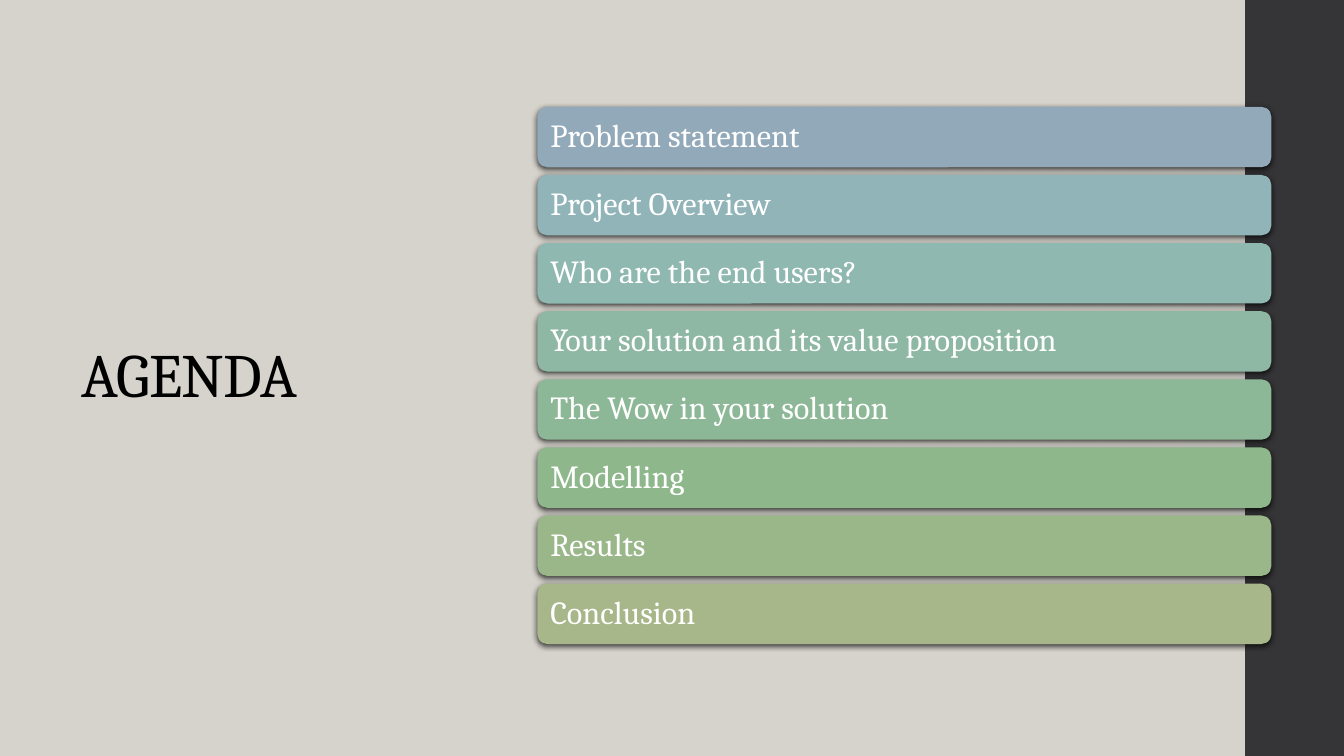
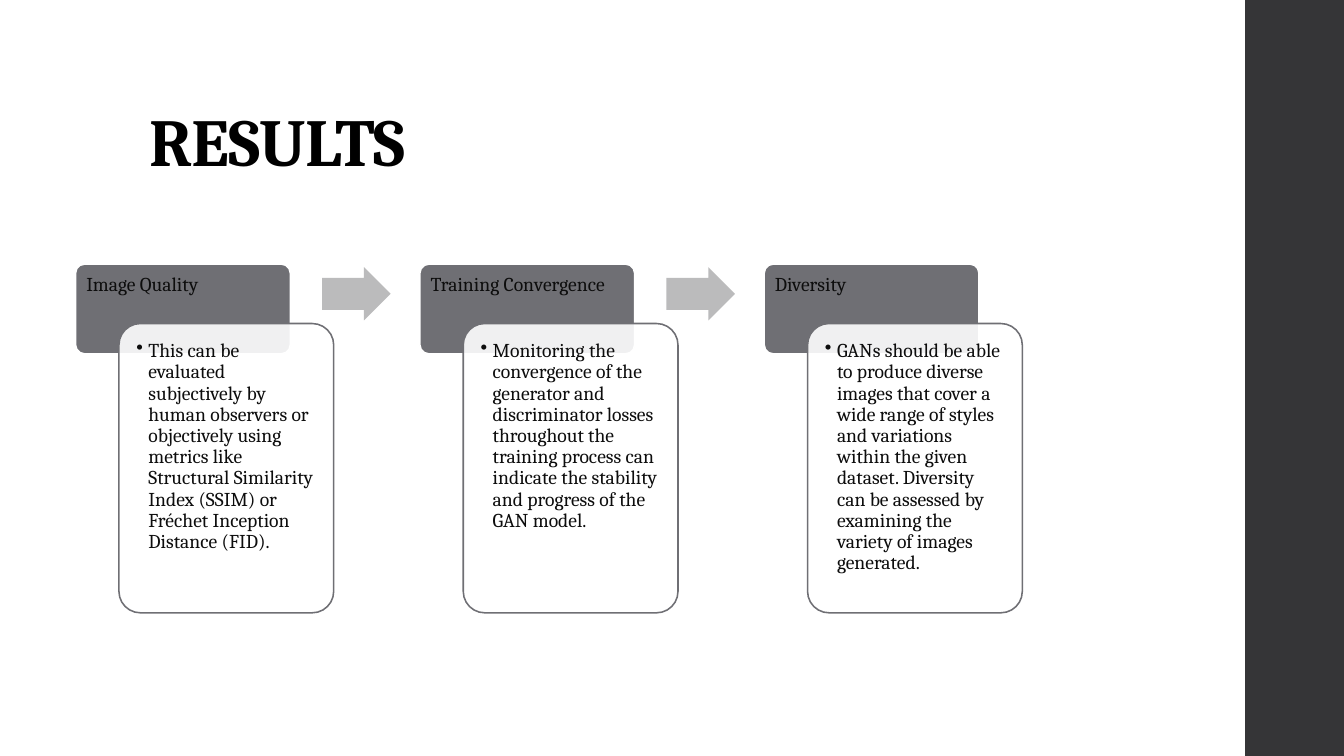
"""Build the agenda and results slides with a shared dark side band."""
from pptx import Presentation
from pptx.dml.color import RGBColor
from pptx.enum.shapes import MSO_SHAPE
from pptx.enum.text import MSO_ANCHOR, MSO_AUTO_SIZE, PP_ALIGN
from pptx.oxml.ns import qn
from pptx.oxml.xmlchemy import OxmlElement
from pptx.util import Inches, Pt

COLORS = {
    "band": "353537",
    "stone": "D6D3CC",
    "white": "FFFFFF",
    "black": "000000",
    "ink": "0D0D0D",
    "heading": "6F6F74",
    "arrow": "BBBBBC",
}
AGENDA = {
    "Problem statement": "92A9B9",
    "Project Overview": "91B4B9",
    "Who are the end users?": "8FB8B1",
    "Your solution and its value proposition": "8EB8A4",
    "The Wow in your solution": "8DB897",
    "Modelling": "8EB88C",
    "Results": "9AB78A",
    "Conclusion": "A7B789",
}
RESULTS = {
    "Image Quality": "This can be evaluated subjectively by human observers or "
    "objectively using metrics like Structural Similarity Index (SSIM) or "
    "Fréchet Inception Distance (FID).",
    "Training Convergence": "Monitoring the convergence of the generator and "
    "discriminator losses throughout the training process can indicate the "
    "stability and progress of the GAN model.",
    "Diversity": "GANs should be able to produce diverse images that cover a wide "
    "range of styles and variations within the given dataset. Diversity can be "
    "assessed by examining the variety of images generated.",
}


def apply(target, values):
    """Set each named attribute of the target."""
    for name, value in values.items():
        setattr(target, name, value)


def add_xml(parent, tag, **attributes):
    """Append an XML child and return it."""
    child = OxmlElement(tag)
    for name, value in attributes.items():
        child.set(name, str(value))
    parent.append(child)
    return child


class Deck:
    """Hold the presentation style and the current slide."""

    font = "Cambria"
    line_spacing = 0.9

    def __init__(self):
        """Open an empty wide presentation."""
        self.presentation = Presentation()
        apply(self.presentation,
              {"slide_width": Inches(13.33), "slide_height": Inches(7.5)})
        self.slide = None

    def color(self, name):
        """Look up a named colour, or take a hex string as it is."""
        return RGBColor.from_string(COLORS.get(name, name))

    def start(self, background, title, box, size, anchor, bold=False):
        """Add a slide with its background, side band and title."""
        layout = self.presentation.slide_layouts[5]
        self.slide = self.presentation.slides.add_slide(layout)
        fill = self.slide.background.fill
        fill.solid()
        fill.fore_color.rgb = self.color(background)
        self.shape(MSO_SHAPE.RECTANGLE, (12.35, 0, 0.98, 7.5), "band")
        heading = self.slide.shapes.title
        apply(heading, dict(zip(("left", "top", "width", "height"), map(Inches, box))))
        run = self.label(heading, title, size, "black", anchor, bold=bold)
        run._r.get_or_add_rPr().set("spc", "-50")

    def shape(self, kind, box, fill, line=None, corner=None):
        """Add a flat filled shape with an optional outline."""
        shape = self.slide.shapes.add_shape(kind, *map(Inches, box))
        shape.fill.solid()
        shape.fill.fore_color.rgb = self.color(fill)
        if line:
            shape.line.color.rgb = self.color(line)
            shape.line.width = Pt(1.1)
        else:
            shape.line.fill.background()
        if corner is not None:
            shape.adjustments[0] = corner
        shape.shadow.inherit = False
        return shape

    def label(self, shape, text, size, color, anchor, inset=None, bold=False, bullet=False):
        """Put one left-aligned paragraph into a shape."""
        frame = shape.text_frame
        apply(frame, {"word_wrap": True, "auto_size": MSO_AUTO_SIZE.NONE,
                      "vertical_anchor": anchor})
        if inset is not None:
            sides = ("margin_left", "margin_top", "margin_right", "margin_bottom")
            apply(frame, dict.fromkeys(sides, Inches(inset)))
        paragraph = frame.paragraphs[0]
        apply(paragraph, {"alignment": PP_ALIGN.LEFT, "line_spacing": self.line_spacing})
        if bullet:
            properties = paragraph._p.get_or_add_pPr()
            properties.set("marL", str(Inches(0.12)))
            properties.set("indent", str(-Inches(0.12)))
            add_xml(properties, "a:buChar", char="•")
        run = paragraph.add_run()
        run.text = text
        apply(run.font, {"name": self.font, "size": Pt(size), "bold": bold})
        run.font.color.rgb = self.color(color)
        return run

    def agenda_bar(self, text, fill, top):
        """Add a shadowed agenda bar."""
        bar = self.shape(MSO_SHAPE.ROUNDED_RECTANGLE, (5.33, top, 7.28, 0.6), fill)
        effects = bar._element.spPr.find(qn("a:effectLst"))
        shadow = add_xml(effects, "a:outerShdw", blurRad=Pt(4), dist=Pt(1.2),
                         dir=5400000, algn="ctr", rotWithShape=0)
        tint = add_xml(shadow, "a:srgbClr", val=COLORS["black"])
        add_xml(tint, "a:alpha", val=75000)
        self.label(bar, text, 23, "white", MSO_ANCHOR.MIDDLE, 0.1)

    def result_card(self, heading, detail, left):
        """Add a result heading with its overlapping detail card."""
        rounded = MSO_SHAPE.ROUNDED_RECTANGLE
        header = self.shape(rounded, (left, 2.62, 2.13, 0.89), "heading", "white", 0.1)
        self.label(header, heading, 14, "ink", MSO_ANCHOR.TOP, 0.08)
        card = self.shape(rounded, (left + 0.43, 3.21, 2.13, 2.87), "white", "heading", 0.1)
        tint = card._element.spPr.find(qn("a:solidFill"))[0]
        add_xml(tint, "a:alpha", val=90000)
        self.label(card, detail, 14, "ink", MSO_ANCHOR.TOP, 0.11, bullet=True)

    def arrow(self, left):
        """Add a block arrow leading to the next result."""
        arrow = self.shape(MSO_SHAPE.RIGHT_ARROW, (left, 2.65, 0.68, 0.53), "arrow", corner=0.6)
        arrow.adjustments[1] = 0.5


def main():
    """Build both slides and save them."""
    deck = Deck()
    deck.start("stone", "AGENDA", (0.71, 1.51, 3.88, 4.48), 44, MSO_ANCHOR.MIDDLE)
    first_top, last_top = 1.06, 5.79
    bar_step = (last_top - first_top) / (len(AGENDA) - 1)
    for index, (topic, fill) in enumerate(AGENDA.items()):
        deck.agenda_bar(topic, fill, first_top + index * bar_step)

    deck.start("white", "RESULTS", (1.38, 0.4, 10.6, 1.45), 48, MSO_ANCHOR.BOTTOM, bold=True)
    first_left, last_left = 0.75, 7.58
    card_step = (last_left - first_left) / (len(RESULTS) - 1)
    for index, (heading, detail) in enumerate(RESULTS.items()):
        left = first_left + index * card_step
        if index:
            deck.arrow(left - 0.97)
        deck.result_card(heading, detail, left)
    deck.presentation.save("out.pptx")


if __name__ == "__main__":
    main()
